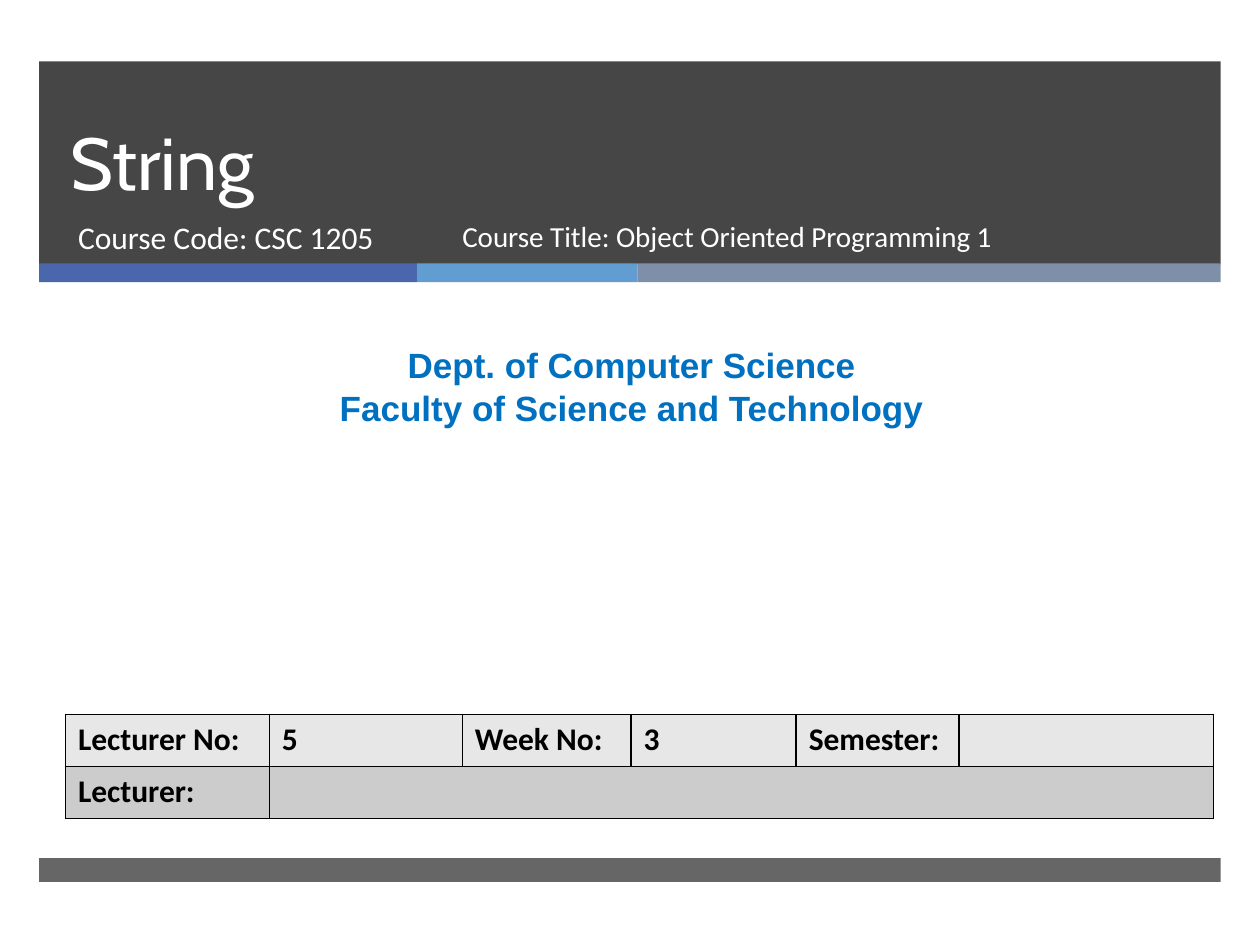
from lxml import etree
from pptx import Presentation
from pptx.dml.color import RGBColor
from pptx.enum.shapes import MSO_SHAPE
from pptx.enum.text import MSO_ANCHOR, MSO_AUTO_SIZE, PP_ALIGN
from pptx.oxml.ns import qn
from pptx.util import Cm, Pt

RECT = MSO_SHAPE.RECTANGLE
TOP, BOTTOM = MSO_ANCHOR.TOP, MSO_ANCHOR.BOTTOM
LEFT, CENTER = PP_ALIGN.LEFT, PP_ALIGN.CENTER
FIXED, GROW = MSO_AUTO_SIZE.NONE, MSO_AUTO_SIZE.SHAPE_TO_FIT_TEXT

WHITE = RGBColor(0xFF, 0xFF, 0xFF)
BLACK = RGBColor(0, 0, 0)
DARK = RGBColor(0x26, 0x26, 0x26)
NAVY = RGBColor(0x4A, 0x66, 0xAC)
SKY = RGBColor(0x62, 0x9D, 0xD1)
SLATE = RGBColor(0x7F, 0x8F, 0xA9)
BLUE = RGBColor(0x00, 0x70, 0xC0)
PALE = RGBColor(0xE7, 0xE7, 0xE7)
GREY = RGBColor(0xCC, 0xCC, 0xCC)

# Content; lengths in centimetres
EDGE, WIDE = 0.79, 23.82
BARS = [(1.24, 4.09, DARK, 85), (17.3, 0.48, DARK, 70)]  # top, height, colour, opacity
STRIPE = [(7.62, NAVY), (4.44, SKY), (11.76, SLATE)]
TITLE = ["String"]
CODE = ["Course Code: CSC 1205"]
COURSE = ["Course Title: Object Oriented Programming 1"]
DEPT = ["Dept. of Computer Science", "Faculty of Science and Technology"]
ROWS = [
    (["Lecturer No:", "5", "Week No:", "3", "Semester:", ""], PALE),
    (["Lecturer:"], GREY),
]
COLS = [4.11, 3.89, 3.4, 3.33, 3.28, 5.13]
ROW = 1.05

HEAD = dict(name="Cabin", size=Pt(42), bold=False)
SUB = dict(name="Calibri", size=Pt(18), bold=False)
SMALL = dict(SUB, size=Pt(16.6))
UNIT = dict(name="Arial", size=Pt(20), bold=True)
CELL = dict(name="Calibri", size=Pt(18), bold=True)


def style(item, form):
    for key, value in form.items():
        setattr(item, key, value)


def write(frame, lines, form, ink, align=LEFT, pitch=None):
    frame.text = "\n".join(lines)
    for para in frame.paragraphs:
        style(para, dict(alignment=align, space_before=Pt(0), line_spacing=pitch))
        for run in para.runs:
            style(run.font, form)
            run.font.color.rgb = ink


def place(shape, left, top, width, height, anchor=TOP, fit=FIXED):
    style(shape, dict(left=Cm(left), top=Cm(top), width=Cm(width), height=Cm(height)))
    style(shape.text_frame, dict(word_wrap=True, auto_size=fit, vertical_anchor=anchor))
    return shape.text_frame


def band(left, top, width, height, tint, alpha=100):
    bar = slide.shapes.add_shape(RECT, Cm(left), Cm(top), Cm(width), Cm(height))
    bar.shadow.inherit = False
    bar.fill.solid()
    bar.fill.fore_color.rgb = tint
    bar.line.fill.background()
    if alpha < 100:
        ink = bar.fill._xPr.find(".//" + qn("a:srgbClr"))
        etree.SubElement(ink, qn("a:alpha"), val=str(alpha * 1000))


def frame_cell(cell):
    """Draw a thin black line on all four sides; lines must precede the fill."""
    props = cell._tc.get_or_add_tcPr()
    for spot, side in enumerate(("a:lnL", "a:lnR", "a:lnT", "a:lnB")):
        line = etree.Element(qn(side), w=str(Pt(1)))
        fill = etree.SubElement(line, qn("a:solidFill"))
        etree.SubElement(fill, qn("a:srgbClr"), val=str(BLACK))
        props.insert(spot, line)


deck = Presentation()
deck.slide_width, deck.slide_height = Cm(25.4), Cm(19.05)
slide = deck.slides.add_slide(deck.slide_layouts[0])

for top, height, tint, alpha in BARS:
    band(EDGE, top, WIDE, height, tint, alpha)
left = EDGE
for width, tint in STRIPE:
    band(left, 5.31, width, 0.38, tint)
    left += width

title, sub = slide.placeholders
for holder in (title, sub):  # bring the text in front of the bands
    slide.shapes._spTree.append(holder._element)
write(place(title, 1.17, 1.24, 21.69, 3.02, BOTTOM), TITLE, HEAD, WHITE, pitch=Pt(46))
write(place(sub, 1.32, 4.27, 7.75, 1.35), CODE, SUB, WHITE)

unit = slide.shapes.add_textbox(0, 0, 0, 0)
write(place(unit, 0.2, 6.81, 25.07, 1.96, fit=GROW), DEPT, UNIT, BLUE, CENTER, Pt(24))

grid = slide.shapes.add_table(
    len(ROWS), len(COLS), Cm(1.32), Cm(14.4), Cm(sum(COLS)), Cm(ROW * len(ROWS))
).table
for col, width in zip(grid.columns, COLS):
    col.width = Cm(width)
for r, (words, tint) in enumerate(ROWS):
    grid.rows[r].height = Cm(ROW)
    for c in range(len(COLS)):
        cell = grid.cell(r, c)
        cell.fill.solid()
        cell.fill.fore_color.rgb = tint
        frame_cell(cell)
        if c < len(words):
            write(cell.text_frame, [words[c]], CELL, BLACK)
grid.cell(1, 1).merge(grid.cell(1, len(COLS) - 1))

course = slide.shapes.add_textbox(0, 0, 0, 0)
write(place(course, 9.07, 4.27, 11.71, 1.35), COURSE, SMALL, WHITE)

deck.save("out.pptx")
